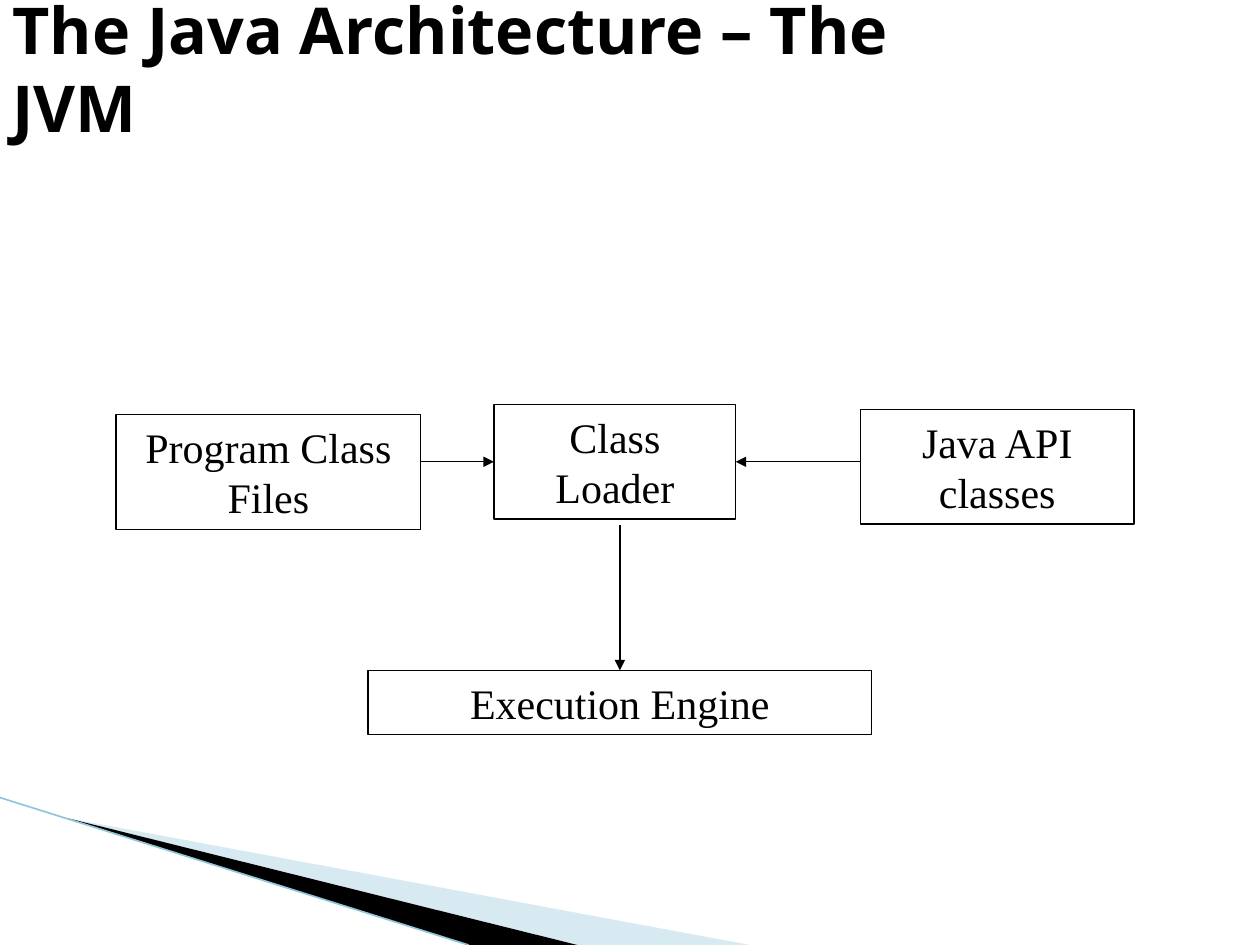
from dataclasses import dataclass

from lxml.etree import SubElement
from pptx import Presentation
from pptx.dml.color import RGBColor
from pptx.enum.shapes import MSO_CONNECTOR, MSO_SHAPE
from pptx.enum.text import MSO_ANCHOR, PP_ALIGN
from pptx.oxml.ns import qn
from pptx.util import Inches, Pt


@dataclass(frozen=True)
class Theme:
    ink: str = "000000"
    pale: str = "9CCADC"
    edge: str = "93C5D8"
    title_font: str = "Open Sans"
    body_font: str = "Times New Roman"
    title_size: float = 36.9
    body_size: float = 24
    rule: float = 0.75
    edge_rule: float = 0.95


@dataclass(frozen=True)
class Box:
    """A region in inches."""
    x: float
    y: float
    w: float
    h: float

    def at(self, fx, fy):
        """Return the point at the given shares of the box."""
        return self.x + fx * self.w, self.y + fy * self.h

    def emu(self):
        return [Inches(v) for v in (self.x, self.y, self.w, self.h)]


THEME = Theme()
WIDTH, HEIGHT = 10, 7.5


def rgb(color):
    return RGBColor.from_string(color)


def write(sp, text, font, size, bold=False, align=PP_ALIGN.LEFT):
    tf = sp.text_frame
    tf.word_wrap = True
    tf.vertical_anchor = MSO_ANCHOR.MIDDLE
    p = tf.paragraphs[0]
    p.alignment = align
    r = p.add_run()
    r.text = text
    r.font.name, r.font.size, r.font.bold = font, Pt(size), bold
    r.font.color.rgb = rgb(THEME.ink)


def add_line(slide, start, end, color, width, arrow=False):
    x1, y1, x2, y2 = (Inches(v) for v in (*start, *end))
    line = slide.shapes.add_connector(MSO_CONNECTOR.STRAIGHT, x1, y1, x2, y2)
    line.line.color.rgb = rgb(color)
    line.line.width = Pt(width)
    if arrow:
        SubElement(line.line._get_or_add_ln(), qn("a:tailEnd"), type="triangle")
    SubElement(line._element.spPr, qn("a:effectLst"))


def add_wedge(slide, points, color, alpha=None):
    """Add a filled outline; alpha is its opacity in percent."""
    start, *rest = [(Inches(x), Inches(y)) for x, y in points]
    builder = slide.shapes.build_freeform(*start)
    builder.add_line_segments(rest, close=True)
    sp = builder.convert_to_shape()
    sp.shadow.inherit = False
    sp.fill.solid()
    sp.fill.fore_color.rgb = rgb(color)
    sp.line.fill.background()
    if alpha is not None:
        clr = sp._element.spPr.find(qn("a:solidFill"))[0]
        SubElement(clr, qn("a:alpha"), val=str(alpha * 1000))


def add_corner(slide, box):
    """Draw the swoosh in the box at the lower left of the slide."""
    tip = box.at(0.09, 0.14)
    add_wedge(slide, [tip, box.at(1, 1), box.at(0.77, 1), tip], THEME.pale, 40)
    add_wedge(slide, [tip, box.at(0.77, 1), box.at(0.625, 1)], THEME.ink)
    add_line(slide, box.at(0, 0), box.at(0.625, 1), THEME.edge, THEME.edge_rule)


def add_title(slide, box, text):
    sp = slide.shapes.add_textbox(*box.emu())
    write(sp, text, THEME.title_font, THEME.title_size, bold=True)


def add_node(slide, box, text):
    sp = slide.shapes.add_shape(MSO_SHAPE.RECTANGLE, *box.emu())
    sp.shadow.inherit = False
    sp.fill.background()
    sp.line.color.rgb = rgb(THEME.ink)
    sp.line.width = Pt(THEME.rule)
    write(sp, text, THEME.body_font, THEME.body_size, align=PP_ALIGN.CENTER)


def add_diagram(slide, box):
    """Draw the class loader, its two inputs and the engine below it."""
    tall, low = 0.91, 0.51
    files = Box(box.x, box.y + 0.08, 2.42, tall)
    loader = Box(box.x + 3, box.y, 1.92, tall)
    api = Box(box.x + box.w - 2.17, box.y + 0.04, 2.17, tall)
    engine = Box(box.x + 2, box.y + box.h - low, 4, low)
    nodes = {"Program Class Files": files, "Class Loader": loader,
             "Java API classes": api, "Execution Engine": engine}
    for text, node in nodes.items():
        add_node(slide, node, text)

    row = loader.at(0, 0.5)[1]
    middle, top = engine.at(0.5, 0)
    arrows = [((files.x + files.w, row), (loader.x, row)),
              ((api.x, row), (loader.x + loader.w, row)),
              ((middle, loader.y + tall + 0.05), (middle, top))]
    for start, end in arrows:
        add_line(slide, start, end, THEME.ink, THEME.rule, arrow=True)


def main():
    prs = Presentation()
    prs.slide_width, prs.slide_height = Inches(WIDTH), Inches(HEIGHT)
    slide = prs.slides.add_slide(prs.slide_layouts[6])
    add_corner(slide, Box(0, 6.33, 5.95, HEIGHT - 6.33))
    add_title(slide, Box(0, 0.23, 8.27, 0.61), "The Java Architecture – The JVM")
    add_diagram(slide, Box(0.92, 3.21, 8.08, 2.62))
    prs.save("out.pptx")


if __name__ == "__main__":
    main()
